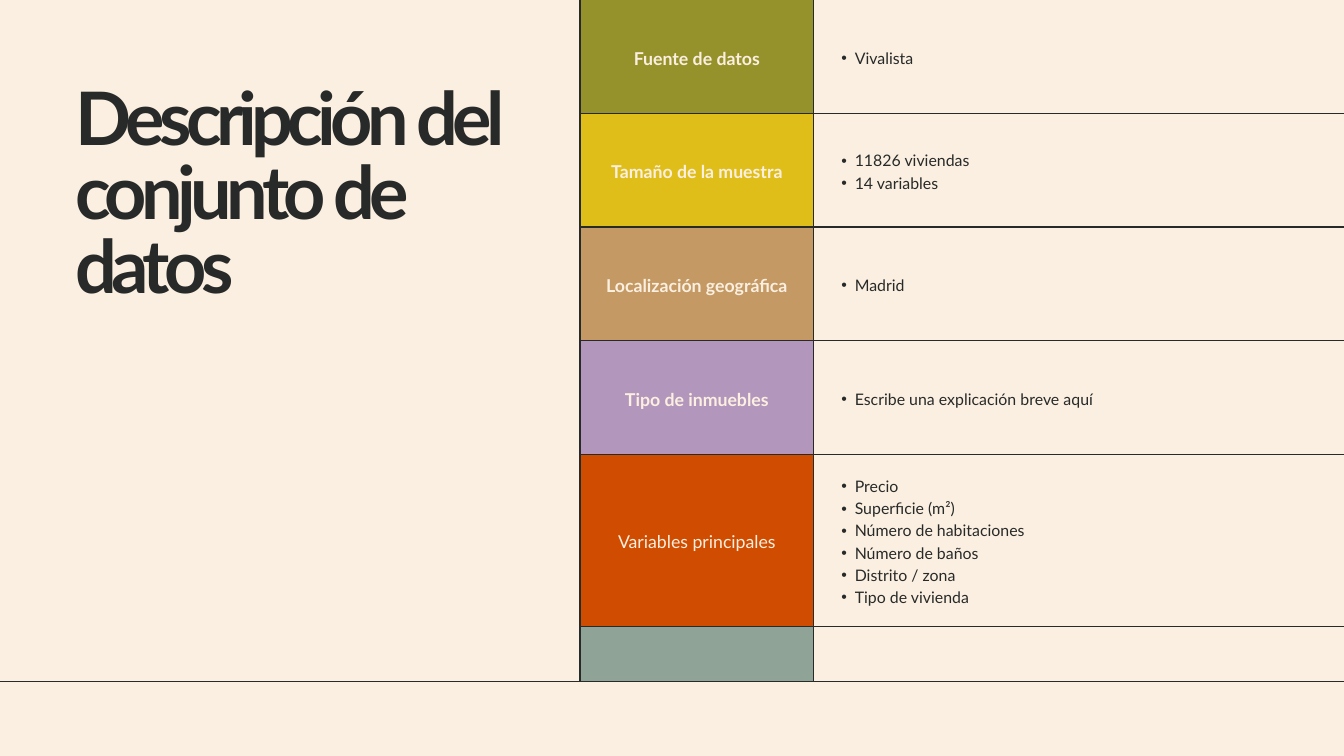
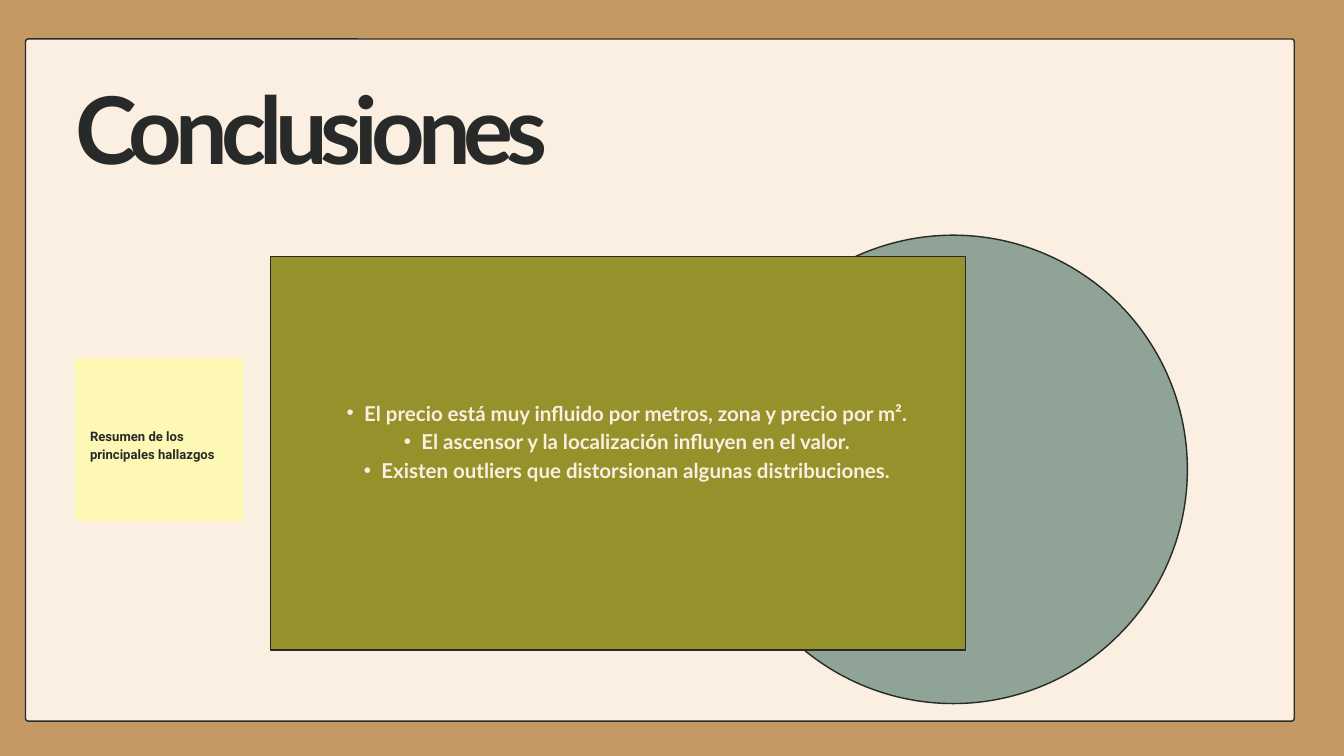
from lxml import etree
from pptx import Presentation
from pptx.dml.color import RGBColor
from pptx.enum.shapes import MSO_CONNECTOR, MSO_SHAPE as SHAPE
from pptx.enum.text import MSO_ANCHOR as ANCHOR, MSO_AUTO_SIZE, PP_ALIGN as ALIGN
from pptx.oxml.ns import qn
from pptx.util import Inches, Pt

CREAM = RGBColor(0xFA, 0xEF, 0xE0)
INK = RGBColor(0x28, 0x2A, 0x29)
OLIVE = RGBColor(0x96, 0x92, 0x2B)
YELLOW = RGBColor(0xE0, 0xBE, 0x1A)
TAN = RGBColor(0xC4, 0x99, 0x63)
LILAC = RGBColor(0xB3, 0x96, 0xBC)
ORANGE = RGBColor(0xD0, 0x4C, 0x00)
SAGE = RGBColor(0x8F, 0xA3, 0x97)
NOTE = RGBColor(0xFD, 0xF9, 0xB4)
LINE = Pt(1.5)
NO_STYLE = "{2D5ABB26-0587-4C30-8999-92F81FD0307C}"


def write(tf, lines, size, color, bold, spacing, font="Lato", align=ALIGN.LEFT, indent=0):
    for i, line in enumerate(lines):
        p = tf.paragraphs[0] if i == 0 else tf.add_paragraph()
        p.alignment = align
        p.line_spacing = Pt(spacing)
        p.space_before = p.space_after = Pt(0)
        if indent:
            p.level = 1
            pPr = p._p.get_or_add_pPr()
            pPr.set("marL", str(Inches(2 * indent)))
            pPr.set("indent", str(-Inches(indent)))
            etree.SubElement(pPr, qn("a:buFont"), typeface="Arial")
            etree.SubElement(pPr, qn("a:buChar"), char="•")
        r = p.add_run()
        r.text = line
        r.font.name = font
        r.font.size = Pt(size)
        r.font.bold = bold
        r.font.color.rgb = color


def add_block(s, kind, left, top, width, height, fill, outlined=True):
    sp = s.shapes.add_shape(kind, Inches(left), Inches(top), Inches(width), Inches(height))
    sp.shadow.inherit = False
    sp.fill.solid()
    sp.fill.fore_color.rgb = fill
    if outlined:
        sp.line.color.rgb = INK
        sp.line.width = LINE
    else:
        sp.line.fill.background()
    return sp


prs = Presentation()
prs.slide_width = Inches(20)
prs.slide_height = Inches(11.25)

slides = []
for text, bg, box, size, tracking in [
    ("Descripción del conjunto de datos", CREAM, (1.12, 1.29, 6.38, 3.33), 79, -590),
    ("Conclusiones", TAN, (1.12, 1.33, 9.5, 1.45), 100, -750),
]:
    s = prs.slides.add_slide(prs.slide_layouts[5])
    s.background.fill.solid()
    s.background.fill.fore_color.rgb = bg
    title = s.shapes.title
    title.left, title.top, title.width, title.height = [Inches(v) for v in box]
    tf = title.text_frame
    tf.margin_left = tf.margin_top = tf.margin_right = tf.margin_bottom = 0
    tf.word_wrap = True
    tf.auto_size = MSO_AUTO_SIZE.NONE
    tf.vertical_anchor = ANCHOR.TOP
    write(tf, [text], size, INK, True, size)
    tf.paragraphs[0].runs[0]._r.get_or_add_rPr().set("spc", str(tracking))
    slides.append(s)
data, conclusions = slides

rows = [
    (1.69, OLIVE, "Fuente de datos", ["Vivalista"]),
    (1.69, YELLOW, "Tamaño de la muestra", ["11826 viviendas", "14 variables"]),
    (1.69, TAN, "Localización geográfica", ["Madrid"]),
    (1.69, LILAC, "Tipo de inmuebles", ["Escribe una explicación breve aquí"]),
    (2.56, ORANGE, "Variables principales",
     ["Precio", "Superficie (m²)", "Número de habitaciones", "Número de baños",
      "Distrito / zona", "Tipo de vivienda"]),
    (0.82, SAGE, "", []),
]
frame = data.shapes.add_table(len(rows), 2, Inches(8.63), 0, Inches(11.38), Inches(10.14))
table = frame.table
table.first_row = table.horz_banding = False
table._tbl.tblPr.find(qn("a:tableStyleId")).text = NO_STYLE
table.columns[0].width = Inches(3.48)
table.columns[1].width = Inches(7.9)
for i, (height, color, label, items) in enumerate(rows):
    table.rows[i].height = Inches(height)
    for j, (fill, sides) in enumerate([(color, "LRB"), (CREAM, "LB")]):
        cell = table.cell(i, j)
        tcPr = cell._tc.get_or_add_tcPr()
        for side in sides:
            ln = etree.SubElement(tcPr, qn("a:ln" + side), w=str(LINE))
            solid = etree.SubElement(ln, qn("a:solidFill"))
            etree.SubElement(solid, qn("a:srgbClr"), val=str(INK))
        cell.fill.solid()
        cell.fill.fore_color.rgb = fill
        cell.vertical_anchor = ANCHOR.MIDDLE
        if label:
            cell.margin_left = cell.margin_right = Inches(0.21)
            cell.margin_top = cell.margin_bottom = Inches(0.21)
    if label:
        bold = label != "Variables principales"
        write(table.cell(i, 0).text_frame, [label], 19, CREAM, bold, 26.6, align=ALIGN.CENTER)
        write(table.cell(i, 1).text_frame, items, 17, INK, False, 23.8, indent=0.2)

rule = data.shapes.add_connector(MSO_CONNECTOR.STRAIGHT, 0, Inches(10.14), Inches(20), Inches(10.14))
rule.line.color.rgb = INK
rule.line.width = LINE
etree.SubElement(rule._element.spPr, qn("a:effectLst"))

panel = add_block(conclusions, SHAPE.ROUNDED_RECTANGLE, 0.38, 0.58, 18.88, 10.15, CREAM)
panel.adjustments[0] = 0.04 / 10.15
tree = conclusions.shapes._spTree
tree.remove(panel._element)
tree.insert(2, panel._element)

note = add_block(conclusions, SHAPE.RECTANGLE, 1.12, 5.33, 2.5, 2.42, NOTE, outlined=False)
add_block(conclusions, SHAPE.OVAL, 10.7, 3.5, 6.97, 6.97, SAGE)
findings = add_block(conclusions, SHAPE.RECTANGLE, 4.03, 3.82, 10.34, 5.85, OLIVE)

tf = note.text_frame
tf.word_wrap = True
tf.vertical_anchor = ANCHOR.TOP
tf.margin_left = tf.margin_right = tf.margin_bottom = Inches(0.22)
tf.margin_top = Inches(1)
write(tf, ["Resumen de los principales hallazgos"], 14, INK, True, 19.6, font="Roboto")

tf = findings.text_frame
tf.word_wrap = True
tf.vertical_anchor = ANCHOR.MIDDLE
tf.margin_left = tf.margin_right = tf.margin_top = Inches(0.28)
tf.margin_bottom = Inches(0.69)
write(tf, [
    "El precio está muy influido por metros, zona y precio por m².",
    "El ascensor y la localización influyen en el valor.",
    "Existen outliers que distorsionan algunas distribuciones.",
], 22, CREAM, True, 30.8, align=ALIGN.CENTER, indent=0.26)

prs.save("out.pptx")
